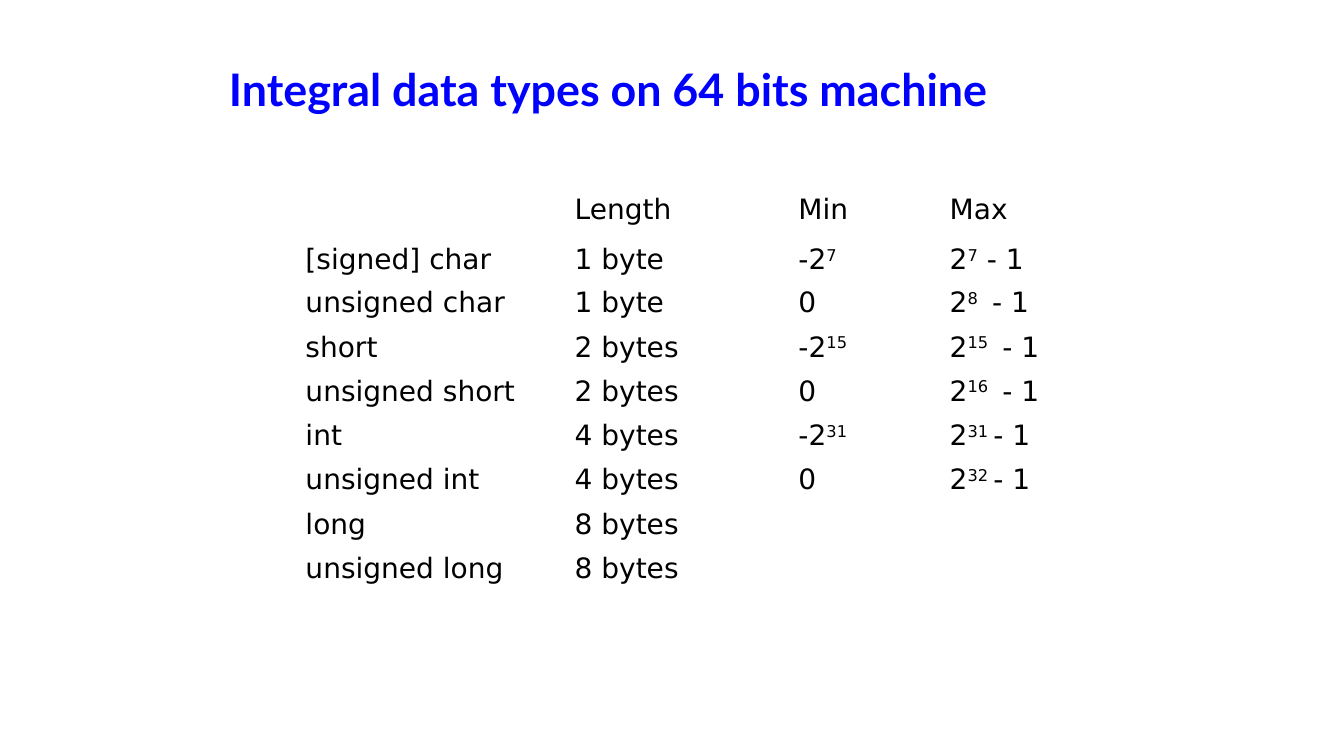
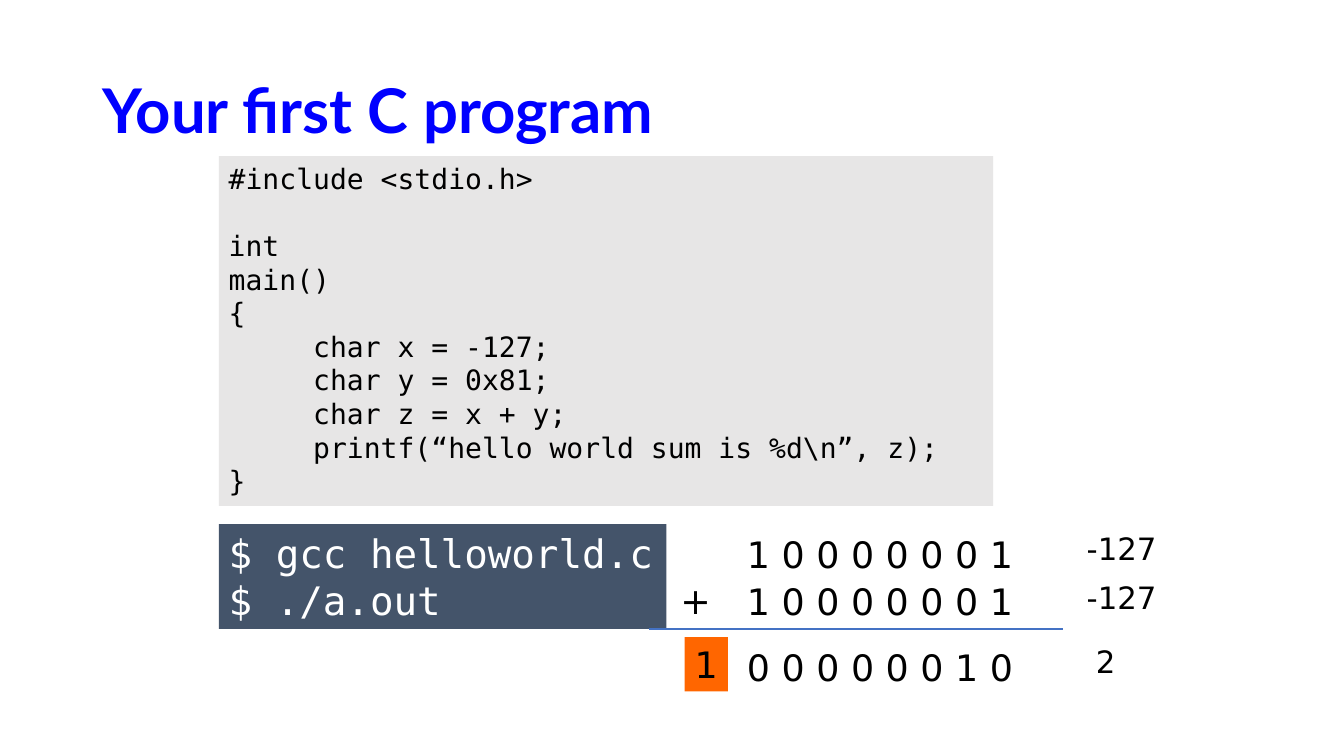
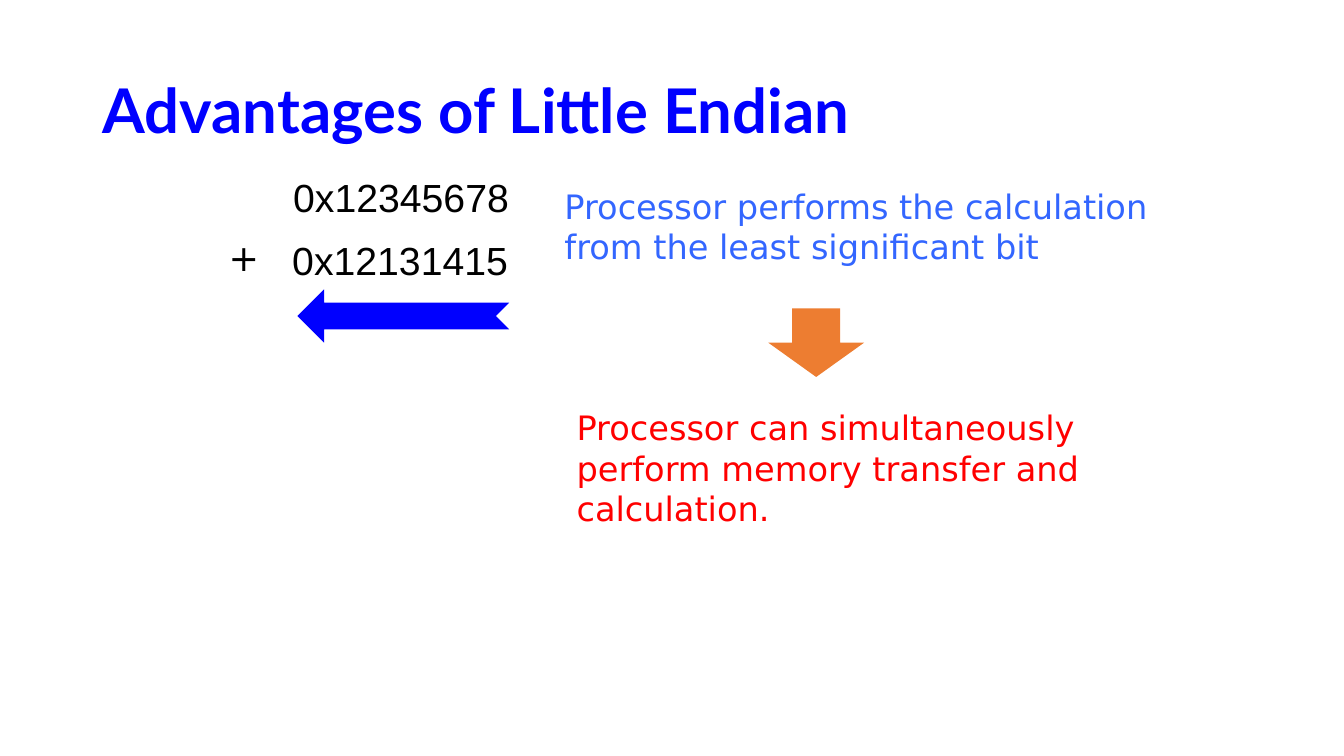
import pptx
import pptx.util
import pptx.dml.color
import pptx.enum.shapes
import pptx.enum.text
import pptx.oxml
import pptx.text.text

Inches = pptx.util.Inches
Pt = pptx.util.Pt
Shape = pptx.enum.shapes.MSO_SHAPE
Align = pptx.enum.text.PP_ALIGN
Anchor = pptx.enum.text.MSO_ANCHOR


class Theme:
    black = "000000"
    white = "FFFFFF"
    blue = "0000FF"
    light_blue = "3366FF"
    red = "FF0000"
    orange = "ED7D31"
    carry = "FF6600"
    code_fill = "E7E6E6"
    shell_fill = "44546A"
    rule = "4472C4"
    wide_title = {"name": "Lato", "size": Pt(44), "bold": True}
    small_title = {"name": "Lato", "size": Pt(32), "bold": True}
    table = {"name": "DejaVu Sans", "size": Pt(20)}
    code = {"name": "DejaVu Sans Mono", "size": Pt(20)}
    shell = {"name": "DejaVu Sans Mono", "size": Pt(28)}
    digits = {"name": "DejaVu Sans", "size": Pt(26)}
    value = {"name": "DejaVu Sans", "size": Pt(22)}
    hexadecimal = {"name": "Arial", "size": Pt(28)}
    note = {"name": "DejaVu Sans", "size": Pt(24)}


def rgb(color):
    return pptx.dml.color.RGBColor.from_string(color)


def write(frame, text, style, color):
    for index, line in enumerate(text.split("\n")):
        para = frame.add_paragraph() if index else frame.paragraphs[0]
        para.alignment = Align.LEFT
        fonts = []
        if not line:
            fonts.append(pptx.text.text.Font(para._p.get_or_add_endParaRPr()))
        for part, piece in enumerate(line.split("^")):
            if piece:
                span = para.add_run()
                span.text = piece
                fonts.append(span.font)
                if part % 2:
                    span._r.get_or_add_rPr().set("baseline", "30000")
        for font in fonts:
            for name, setting in style.items():
                setattr(font, name, setting)
            font.color.rgb = rgb(color)


deck = pptx.Presentation()
deck.slide_width = Inches(13.33)
deck.slide_height = Inches(7.5)

wide_area = (0.92, 0.4, 11.5, 1.45)
titles = [
    ("Integral data types on 64 bits machine", (2.17, 0.29, 9.15, 1.25), Theme.small_title),
    ("Your first C program", wide_area, Theme.wide_title),
    ("Advantages of Little Endian", wide_area, Theme.wide_title),
]
pages = []
for text, area, style in titles:
    page = deck.slides.add_slide(deck.slide_layouts[5])
    title = page.shapes.title
    title.left, title.top, title.width, title.height = map(Inches, area)
    frame = title.text_frame
    frame.auto_size = pptx.enum.text.MSO_AUTO_SIZE.NONE
    frame.vertical_anchor = Anchor.MIDDLE
    write(frame, text, style, Theme.blue)
    frame.paragraphs[0].line_spacing = 0.9
    pages.append(page)
types_page, program_page, endian_page = pages

type_rows = [
    ("", "Length", "Min", "Max"),
    ("[signed] char", "1 byte", "-2^7", "2^7^ - 1"),
    ("unsigned char", "1 byte", "0", "2^8 ^ - 1"),
    ("short", "2 bytes", "-2^15", "2^15 ^ - 1"),
    ("unsigned short", "2 bytes", "0", "2^16 ^ - 1"),
    ("int", "4 bytes", "-2^31", "2^31 ^- 1"),
    ("unsigned int", "4 bytes", "0", "2^32 ^- 1"),
    ("long", "8 bytes", "", ""),
    ("unsigned long", "8 bytes", "", ""),
]
column_widths = [2.67, 2.22, 1.5, 1.29]
row_heights = [0.5, 0.42] + [0.44] * 7
table = types_page.shapes.add_table(
    len(type_rows), len(column_widths),
    Inches(2.93), Inches(1.87), Inches(7.68), Inches(4),
).table
table.first_row = False
table.horz_banding = False
for column, width in zip(table.columns, column_widths):
    column.width = Inches(width)
for row, height, texts in zip(table.rows, row_heights, type_rows):
    row.height = Inches(height)
    for cell, text in zip(row.cells, texts):
        cell.fill.background()
        write(cell.text_frame, text, Theme.table, Theme.black)

program = """#include <stdio.h>

int
main()
{
     char x = -127;
     char y = 0x81;
     char z = x + y;
     printf(“hello world sum is %d\\n”, z);
}"""
commands = "$ gcc helloworld.c\n$ ./a.out"
calculation = "Processor performs the calculation\nfrom the least significant bit"
transfer = "Processor can simultaneously\nperform memory transfer and\ncalculation."

boxes = [
    (program_page, (2.17, 1.55, 7.68, 3.47), program, Theme.code, Theme.black, Theme.code_fill),
    (program_page, (2.17, 5.2, 4.44, 1.04), commands, Theme.shell, Theme.white, Theme.shell_fill),
    (program_page, (7.31, 5.23, 2.95, 0.54), "1 0 0 0 0 0 0 1", Theme.digits, Theme.black, None),
    (program_page, (7.31, 5.7, 2.95, 0.54), "1 0 0 0 0 0 0 1", Theme.digits, Theme.black, None),
    (program_page, (6.65, 5.69, 0.5, 0.54), "+", Theme.digits, Theme.black, None),
    (program_page, (7.31, 6.35, 2.95, 0.54), "0 0 0 0 0 0 1 0", Theme.digits, Theme.black, None),
    (program_page, (10.68, 5.21, 0.93, 0.47), "-127", Theme.value, Theme.black, None),
    (program_page, (10.68, 5.69, 0.93, 0.47), "-127", Theme.value, Theme.black, None),
    (program_page, (6.79, 6.32, 0.43, 0.54), "1", Theme.digits, Theme.black, Theme.carry),
    (program_page, (10.77, 6.33, 0.51, 0.47), "2", Theme.value, Theme.black, None),
    (endian_page, (2.81, 1.67, 2.4, 0.57), "0x12345678", Theme.hexadecimal, Theme.black, None),
    (endian_page, (2.8, 2.3, 2.41, 0.57), "0x12131415", Theme.hexadecimal, Theme.black, None),
    (endian_page, (2.17, 2.28, 0.5, 0.54), "+", Theme.digits, Theme.black, None),
    (endian_page, (5.5, 1.79, 6.18, 0.91), calculation, Theme.note, Theme.light_blue, None),
    (endian_page, (5.62, 3.99, 5.38, 1.31), transfer, Theme.note, Theme.red, None),
]
for page, area, text, style, color, fill in boxes:
    place = map(Inches, area)
    if fill:
        box = page.shapes.add_shape(Shape.RECTANGLE, *place)
        box.shadow.inherit = False
        box.fill.solid()
        box.fill.fore_color.rgb = rgb(fill)
        box.line.fill.background()
    else:
        box = page.shapes.add_textbox(*place)
    box.text_frame.word_wrap = False
    box.text_frame.vertical_anchor = Anchor.TOP
    write(box.text_frame, text, style, color)

sum_line = program_page.shapes.add_connector(
    pptx.enum.shapes.MSO_CONNECTOR.STRAIGHT,
    Inches(6.44), Inches(6.24), Inches(10.54), Inches(6.24),
)
sum_line.line.color.rgb = rgb(Theme.rule)
sum_line.line.width = Pt(1)
sum_line._element.spPr.append(pptx.oxml.parse_xml(
    '<a:effectLst xmlns:a="http://schemas.openxmlformats.org/drawingml/2006/main"/>'
))

arrows = [
    (Shape.NOTCHED_RIGHT_ARROW, (2.95, 2.87, 2.1, 0.53), 180, Theme.blue),
    (Shape.DOWN_ARROW, (7.62, 3.06, 0.95, 0.68), 0, Theme.orange),
]
for kind, area, rotation, color in arrows:
    arrow = endian_page.shapes.add_shape(kind, *map(Inches, area))
    arrow.rotation = rotation
    arrow.shadow.inherit = False
    arrow.fill.solid()
    arrow.fill.fore_color.rgb = rgb(color)
    arrow.line.fill.background()

deck.save("out.pptx")
